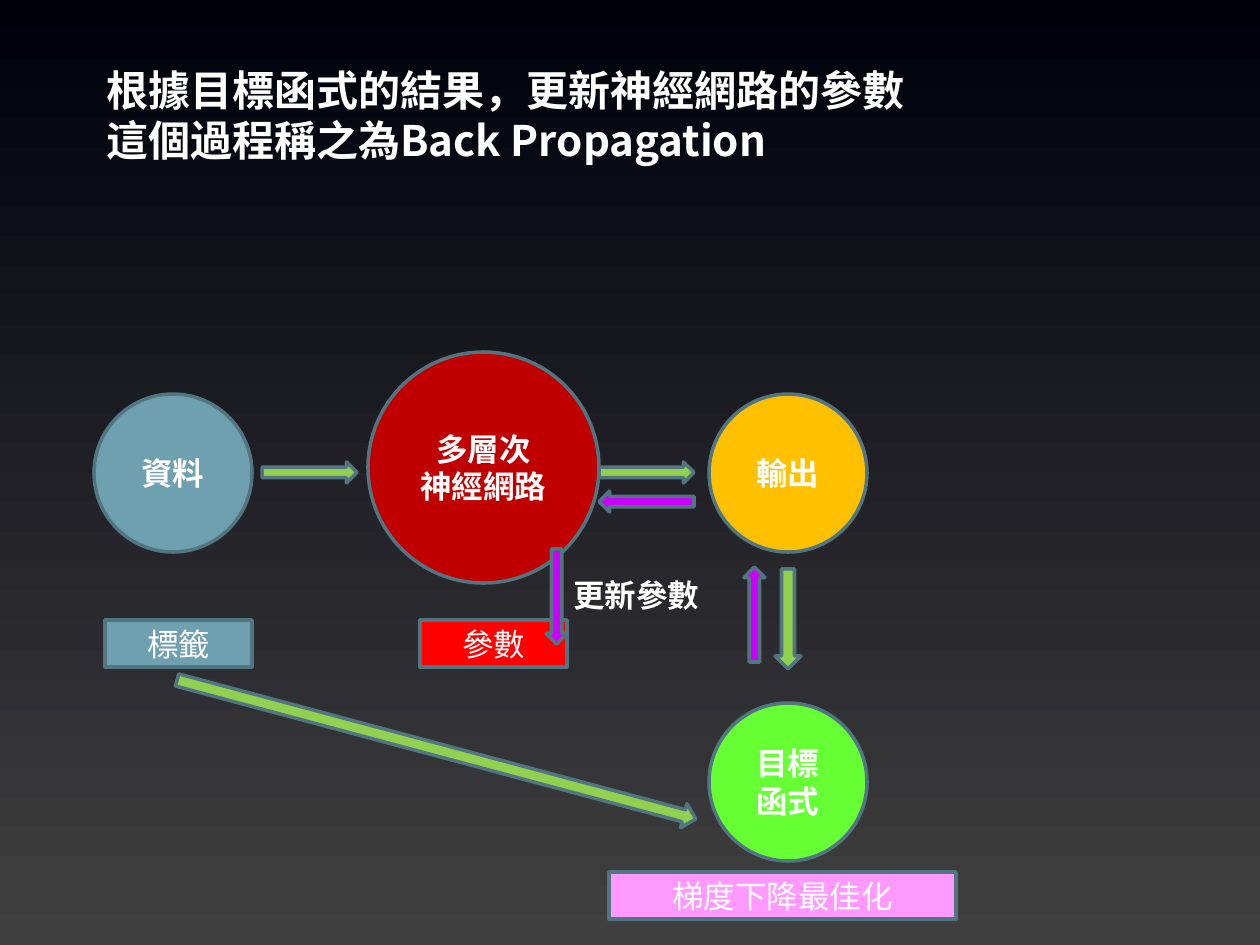
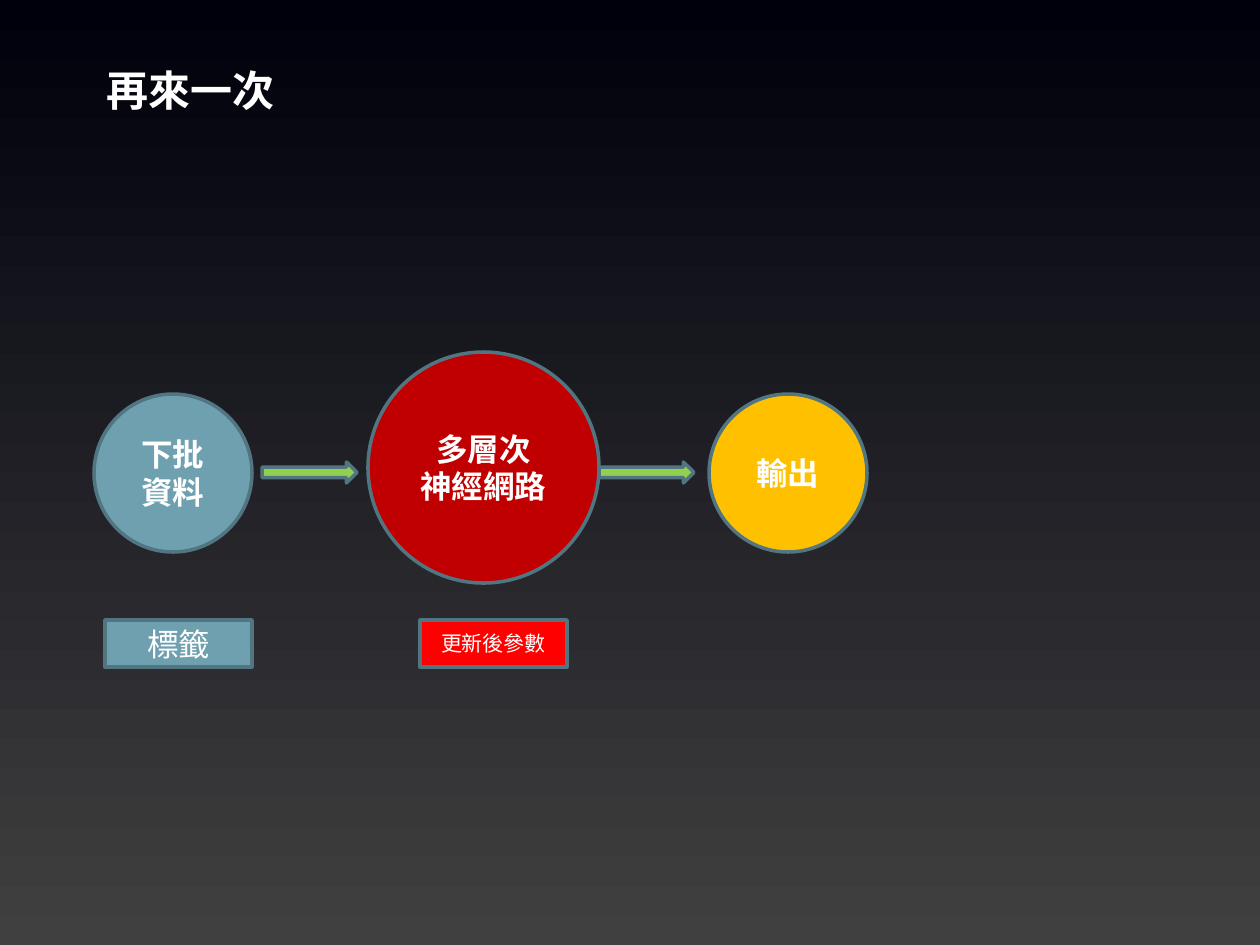
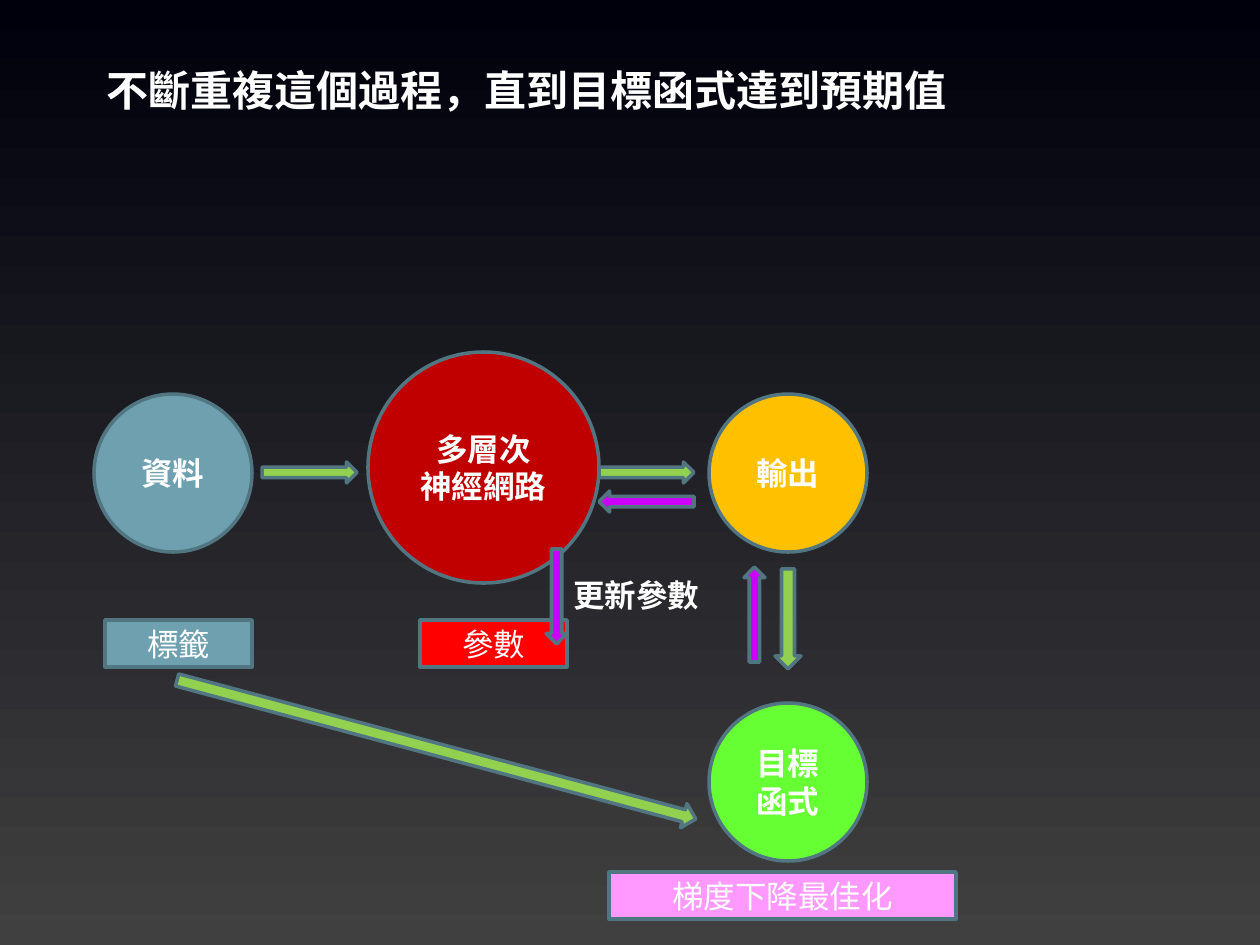
import dataclasses

import lxml.etree
import pptx
import pptx.dml.color
import pptx.enum.shapes
import pptx.enum.text
import pptx.oxml.ns
import pptx.util

SHAPE = pptx.enum.shapes.MSO_SHAPE
ALIGN = pptx.enum.text.PP_ALIGN
PX = pptx.util.Inches(1) / 126


@dataclasses.dataclass(frozen=True)
class Theme:
    font: str = "Noto Sans CJK SC"
    text: str = "FFFFFF"
    outline: str = "517682"
    bg_bottom: str = "404040"
    bg_top: str = "00000C"
    data: str = "6EA0B0"
    network: str = "C00000"
    params: str = "FF0000"
    output: str = "FFC000"
    target: str = "66FF33"
    optimizer: str = "FF99FF"
    forward: str = "92D050"
    backward: str = "CC00FF"
    title_size: int = 24
    body_size: int = 18
    small_size: int = 12


T = Theme()
ORIGIN = (94, 352)  # top left of the flow diagram
CIRCLE = 158
TAG_W, TAG_H = 147, 47
ARROW_W, ARROW_H = 95, 21


def px(*values):
    return [pptx.util.Emu(round(v * PX)) for v in values]


def rgb(value):
    return pptx.dml.color.RGBColor.from_string(value)


def write(tf, text, size, bold, align):
    tf.word_wrap = True
    tf.text = text
    for p in tf.paragraphs:
        p.alignment = align
        p.font.size = pptx.util.Pt(size)
        p.font.bold = bold
        p.font.color.rgb = rgb(T.text)
        p.font.name = T.font
        # East Asian glyphs need their own typeface entry
        props = p._p.pPr.find(pptx.oxml.ns.qn("a:defRPr"))
        ea = lxml.etree.SubElement(props, pptx.oxml.ns.qn("a:ea"))
        ea.set("typeface", T.font)


def add_block(s, kind, box, fill, text="", size=T.body_size, bold=False):
    sp = s.shapes.add_shape(kind, *px(*box))
    sp.shadow.inherit = False
    sp.fill.solid()
    sp.fill.fore_color.rgb = rgb(fill)
    sp.line.color.rgb = rgb(T.outline)
    sp.line.width = pptx.util.Pt(2)
    if text:
        sp.text_frame.vertical_anchor = pptx.enum.text.MSO_ANCHOR.MIDDLE
        write(sp.text_frame, text, size, bold, ALIGN.CENTER)
    return sp


def add_circle(s, x, y, fill, text, d=CIRCLE):
    add_block(s, SHAPE.OVAL, (x, y, d, d), fill, text, bold=True)


def add_tag(s, x, y, fill, text, w=TAG_W, size=T.body_size):
    add_block(s, SHAPE.RECTANGLE, (x, y, w, TAG_H), fill, text, size)


def add_arrow(s, x, y, fill, rotation=0, w=ARROW_W, h=ARROW_H):
    add_block(s, SHAPE.RIGHT_ARROW, (x, y, w, h), fill).rotation = rotation


def add_label(s, box, text, size):
    tf = s.shapes.add_textbox(*px(*box)).text_frame
    write(tf, text, size, True, ALIGN.LEFT)
    tf.auto_size = pptx.enum.text.MSO_AUTO_SIZE.SHAPE_TO_FIT_TEXT


def forward_pass(s, x, y, data, params, params_size):
    """Data, network and output, with their tags and arrows."""
    add_circle(s, x, y + 42, T.data, data)
    add_circle(s, x + 274, y, T.network, "多層次\n神經網路", 231)
    add_circle(s, x + 615, y + 42, T.output, "輸出")
    add_tag(s, x + 11, y + 268, T.data, "標籤")
    add_tag(s, x + 326, y + 268, T.params, params, size=params_size)
    for dx in (168, 505):
        add_arrow(s, x + dx, y + 110, T.forward)


def back_propagation(s, x, y):
    """Target function and the way back to the parameters."""
    add_circle(s, x + 615, y + 351, T.target, "目標\n函式")
    add_arrow(s, x + 644, y + 254, T.forward, 90, 100, 26)
    add_arrow(s, x + 74, y + 385, T.forward, 15, 537, 25)
    for dx, dy, rotation in ((505, 139, 180), (613, 252, 270), (415, 234, 90)):
        add_arrow(s, x + dx, y + dy, T.backward, rotation)
    add_label(s, (x + 467, y + 218, 158, 50), "更新參數", T.body_size)
    add_tag(s, x + 515, y + 520, T.optimizer, "梯度下降最佳化", 347)


def flow_slide(prs, title, data="資料", params="參數",
               params_size=T.body_size, backward=True):
    s = prs.slides.add_slide(prs.slide_layouts[6])
    forward_pass(s, *ORIGIN, data, params, params_size)
    if backward:
        back_propagation(s, *ORIGIN)
    title_h = 63 + 52 * title.count("\n")
    add_label(s, (ORIGIN[0], 58, 977, title_h), title, T.title_size)


def set_background(prs):
    fill = prs.slide_master.background.fill
    fill.gradient()
    fill.gradient_angle = 90
    for stop, color in zip(fill.gradient_stops, (T.bg_bottom, T.bg_top)):
        stop.color.rgb = rgb(color)


def main():
    prs = pptx.Presentation()
    prs.slide_width, prs.slide_height = px(1260, 945)
    set_background(prs)
    flow_slide(prs, "根據目標函式的結果，更新神經網路的參數\n"
                    "這個過程稱之為Back Propagation")
    flow_slide(prs, "再來一次", "下批資料", "更新後參數", T.small_size, False)
    flow_slide(prs, "不斷重複這個過程，直到目標函式達到預期值")
    prs.save("out.pptx")


if __name__ == "__main__":
    main()
